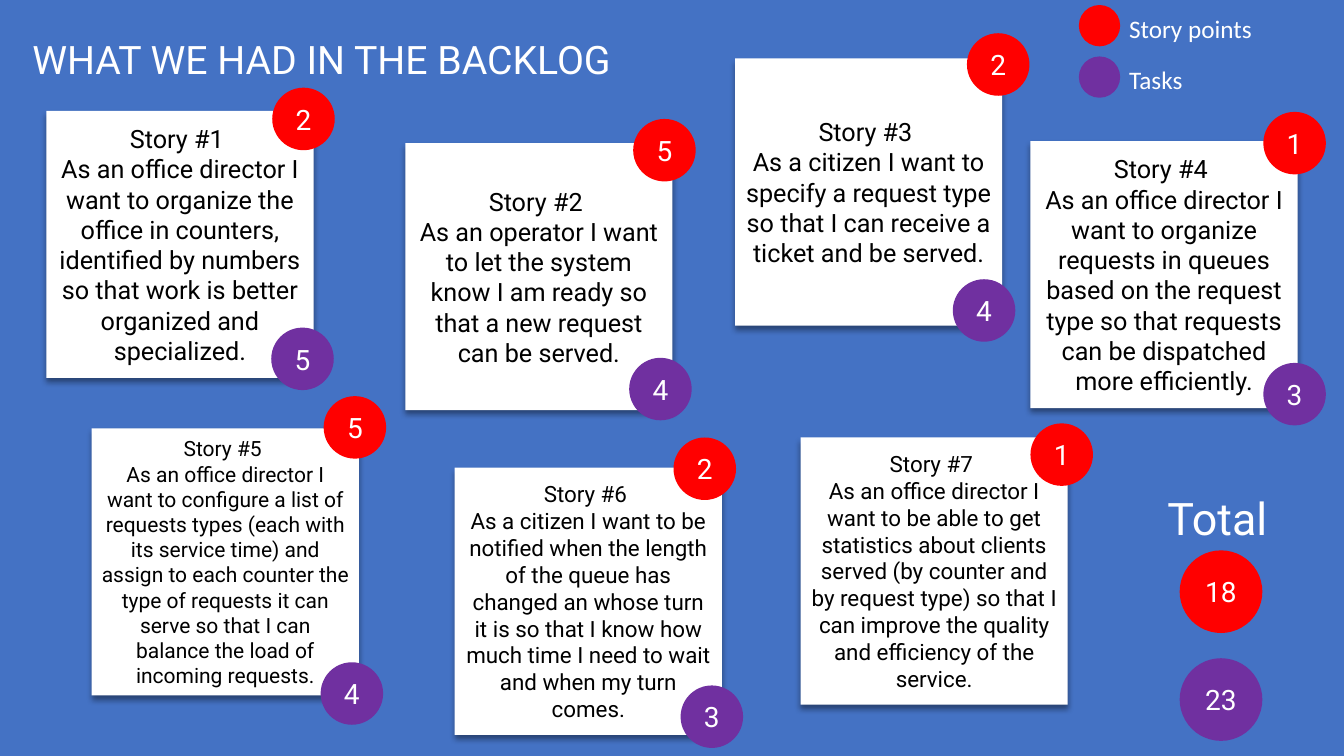
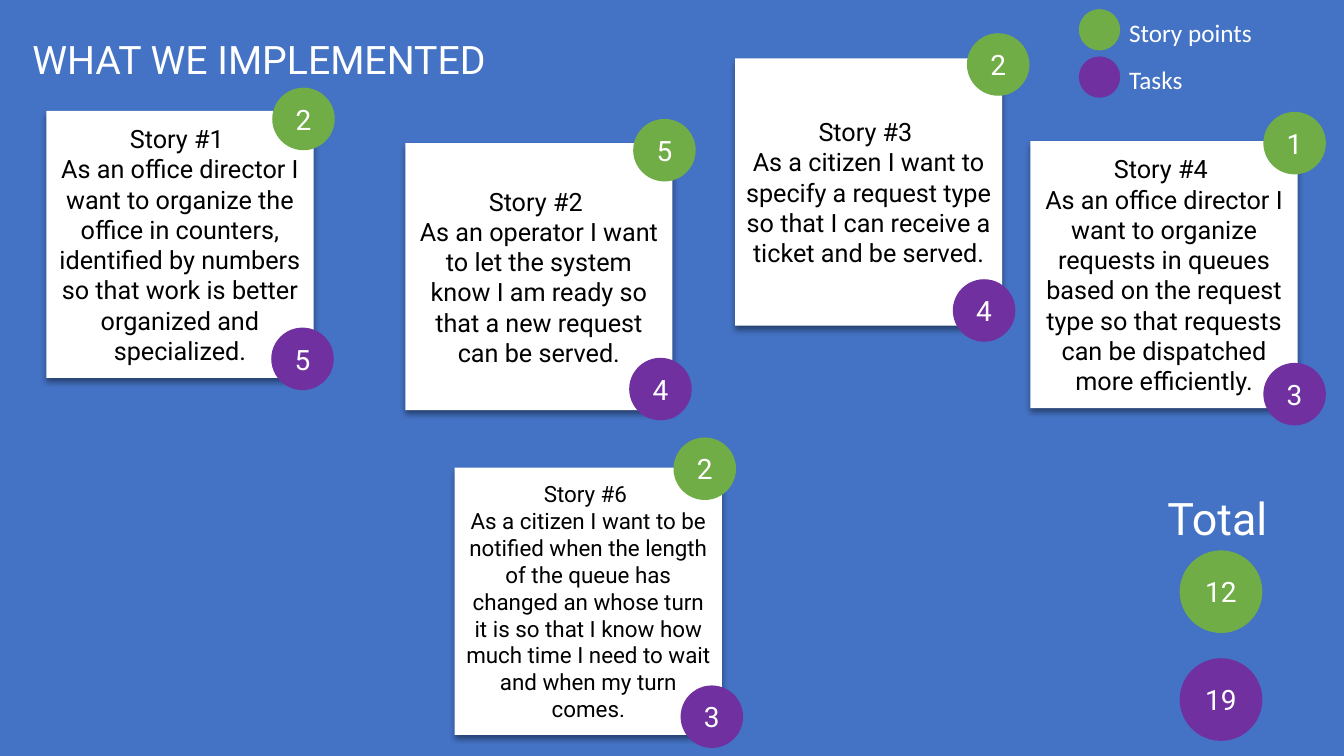
from dataclasses import dataclass
from typing import Optional

from lxml import etree
from pptx import Presentation
from pptx.dml.color import RGBColor
from pptx.enum import shapes, text
from pptx.oxml import ns
from pptx.util import Inches, Pt

BLUE, WHITE, BLACK = "4472C4", "FFFFFF", "000000"
RED, GREEN, PURPLE = "FF0000", "70AD47", "7030A0"
HEADING_FONT, LEGEND_FONT = "Roboto", "Calibri"
CARD_SIZE, BADGE_SIZE, TOTAL_SIZE, LEGEND_SIZE = 2.65, 0.62, 0.82, 0.41


@dataclass
class Story:
    """A backlog story with its card and badge positions."""
    number: int
    wording: str
    font_size: int
    card_at: tuple
    points: int
    points_at: tuple
    tasks: int = 0
    tasks_at: Optional[tuple] = None


STORIES = [
    Story(1, "As an office director I want to organize the office in counters, identified by "
          "numbers so that work is better organized and specialized.",
          18, (0.46, 1.1), 2, (2.7, 0.87), 5, (2.69, 3.25)),
    Story(2, "As an operator I want to let the system know I am ready so that a new request "
          "can be served.",
          18, (4.02, 1.42), 5, (6.28, 1.18), 4, (6.24, 3.55)),
    Story(3, "As a citizen I want to specify a request type so that I can receive a ticket "
          "and be served.",
          18, (7.29, 0.58), 2, (9.59, 0.33), 4, (9.45, 2.77)),
    Story(4, "As an office director I want to organize requests in queues based on the request "
          "type so that requests can be dispatched more efficiently.",
          18, (10.22, 1.4), 1, (12.53, 1.11), 3, (12.53, 3.6)),
    Story(5, "As an office director I want to configure a list of requests types (each with its "
          "service time) and assign to each counter the type of requests it can serve so that I "
          "can balance the load of incoming requests.",
          15, (0.91, 4.25), 5, (3.21, 3.93), 4, (3.18, 6.57)),
    Story(6, "As a citizen I want to be notified when the length of the queue has changed an "
          "whose turn it is so that I know how much time I need to wait and when my turn comes.",
          16, (4.51, 4.64), 2, (6.68, 4.34), 3, (6.75, 6.8)),
    Story(7, "As an office director I want to be able to get statistics about clients served "
          "(by counter and by request type) so that I can improve the quality and efficiency "
          "of the service.",
          16, (7.94, 4.34), 1, (10.22, 4.2)),
]
IMPLEMENTED = {1, 2, 3, 4, 6}


def color(value):
    """Turn a hex string into a colour."""
    return RGBColor.from_string(value)


def add_run(paragraph, wording, size, font_color=WHITE, font=HEADING_FONT):
    """Add one formatted run to a paragraph."""
    run = paragraph.add_run()
    run.text = wording
    run.font.size = Pt(size)
    run.font.name = font
    run.font.color.rgb = color(font_color)


def add_figure(slide, kind, position, size, fill):
    """Add a plain square-framed shape without line or shadow."""
    shape = slide.shapes.add_shape(kind, *map(Inches, (*position, size, size)))
    shape.fill.solid()
    shape.fill.fore_color.rgb = color(fill)
    shape.line.fill.background()
    shape.shadow.inherit = False
    return shape


def fill_centred(shape, lines, size, font_color):
    """Write centred paragraphs in the middle of a shape."""
    frame = shape.text_frame
    frame.word_wrap = True
    frame.vertical_anchor = text.MSO_ANCHOR.MIDDLE
    for index, line in enumerate(lines):
        paragraph = frame.add_paragraph() if index else frame.paragraphs[0]
        paragraph.alignment = text.PP_ALIGN.CENTER
        add_run(paragraph, line, size, font_color)


def add_drop_shadow(shape):
    """Give a shape a soft shadow straight below it."""
    effects = shape._element.spPr.find(ns.qn("a:effectLst"))
    shadow = etree.SubElement(effects, ns.qn("a:outerShdw"), blurRad=str(Pt(4)),
                              dist=str(Pt(3)), dir="5400000", algn="t", rotWithShape="0")
    tint = etree.SubElement(shadow, ns.qn("a:srgbClr"), val=BLACK)
    etree.SubElement(tint, ns.qn("a:alpha"), val="40000")


def add_circle(slide, position, size, fill, number=None):
    """Add a coloured circle, with a number if one is given."""
    circle = add_figure(slide, shapes.MSO_SHAPE.OVAL, position, size, fill)
    if number is not None:
        fill_centred(circle, [str(number)], 20, WHITE)


def add_label(slide, wording, position, extent, size, font=HEADING_FONT):
    """Add a single-line white label."""
    box = slide.shapes.add_textbox(*map(Inches, (*position, *extent)))
    box.text_frame.word_wrap = False
    add_run(box.text_frame.paragraphs[0], wording, size, font=font)


def add_story(slide, story, points_color):
    """Add a story card with its points and tasks badges."""
    card = add_figure(slide, shapes.MSO_SHAPE.RECTANGLE, story.card_at, CARD_SIZE, WHITE)
    add_drop_shadow(card)
    fill_centred(card, [f"Story #{story.number} ", story.wording], story.font_size, BLACK)
    add_circle(slide, story.points_at, BADGE_SIZE, points_color, story.points)
    if story.tasks_at:
        add_circle(slide, story.tasks_at, BADGE_SIZE, PURPLE, story.tasks)


def add_legend(slide, points_top, points_color):
    """Add the key to the badge colours."""
    entries = [("Story points", 1.43, points_top, points_color), ("Tasks", 0.73, 0.56, PURPLE)]
    for wording, width, top, fill in entries:
        add_circle(slide, (10.7, top), LEGEND_SIZE, fill)
        add_label(slide, wording, (11.1, top + 0.03), (width, 0.4), 18, LEGEND_FONT)


def add_totals(slide, stories, points_color):
    """Add the summed points and tasks of the stories."""
    add_label(slide, "Total", (11.48, 4.82), (1.2, 0.64), 32)
    add_circle(slide, (11.7, 5.46), TOTAL_SIZE, points_color, sum(s.points for s in stories))
    add_circle(slide, (11.7, 6.53), TOTAL_SIZE, PURPLE, sum(s.tasks for s in stories))


def set_title(slide, wording, width):
    """Place and format the slide title."""
    title = slide.shapes.title
    title.left, title.top, title.width, title.height = map(Inches, (0.22, 0.3, width, 0.57))
    frame = title.text_frame
    frame.word_wrap = False
    frame.auto_size = text.MSO_AUTO_SIZE.NONE
    frame.vertical_anchor = text.MSO_ANCHOR.TOP
    frame.paragraphs[0].alignment = text.PP_ALIGN.LEFT
    add_run(frame.paragraphs[0], wording, 28)


def add_board(presentation, title, title_width, stories, points_color, legend_top):
    """Add a slide that shows a set of stories."""
    slide = presentation.slides.add_slide(presentation.slide_layouts[5])
    set_title(slide, title, title_width)
    for story in stories:
        add_story(slide, story, points_color)
    add_legend(slide, legend_top, points_color)
    add_totals(slide, stories, points_color)


def main():
    """Build and save the presentation."""
    presentation = Presentation()
    presentation.slide_width, presentation.slide_height = Inches(13.33), Inches(7.5)
    background = presentation.slide_master.background.fill
    background.solid()
    background.fore_color.rgb = color(BLUE)
    implemented = [story for story in STORIES if story.number in IMPLEMENTED]
    add_board(presentation, "WHAT WE HAD IN THE BACKLOG", 6.06, STORIES, RED, 0.05)
    add_board(presentation, "WHAT WE IMPLEMENTED", 4.81, implemented, GREEN, 0.09)
    presentation.save("out.pptx")


main()
